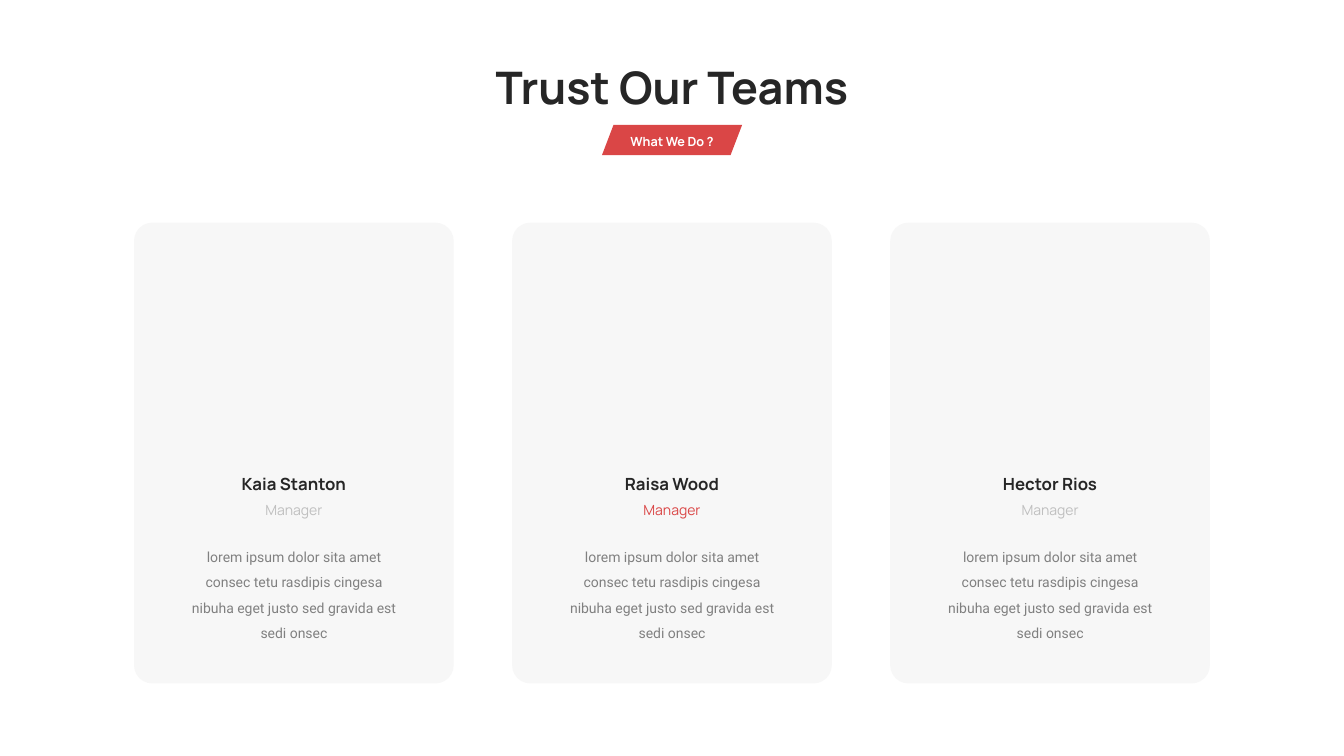
from dataclasses import dataclass

from lxml import etree
from pptx import Presentation
from pptx.dml.color import RGBColor
from pptx.enum import shapes, text
from pptx.oxml import ns
from pptx.util import Inches, Pt

WHITE = RGBColor(0xFF, 0xFF, 0xFF)
INK = RGBColor(0x26, 0x26, 0x26)
GRAY = RGBColor(0x80, 0x80, 0x80)
SILVER = RGBColor(0xBF, 0xBF, 0xBF)
CARD = RGBColor(0xF2, 0xF2, 0xF2)
RED = RGBColor(0xDA, 0x46, 0x46)

SLIDE_WIDTH = 13.33
CENTER = SLIDE_WIDTH / 2
CARD_LEFT, CARD_TOP, CARD_WIDTH, CARD_HEIGHT = 1.33, 2.21, 3.17, 4.57
CARD_PITCH = 3.75
BIO = ("lorem ipsum dolor sita amet consec tetu rasdipis cingesa "
       "nibuha eget justo sed gravida est sedi onsec")


@dataclass(frozen=True)
class Style:
    size: float
    color: RGBColor
    font: str = "Manrope"
    bold: bool = False
    wrap: bool = False
    line_spacing: float = 1.0


@dataclass(frozen=True)
class Member:
    name: str
    name_width: float
    role_color: RGBColor = SILVER


TITLE = Style(32, INK, bold=True, wrap=True)
TAG = Style(9, WHITE, bold=True)
NAME = Style(12, INK, bold=True)
BODY = Style(10, GRAY, font="Roboto", wrap=True, line_spacing=1.5)

TEAM = [
    Member("Kaia Stanton", 1.37),
    Member("Raisa Wood", 1.26, RED),
    Member("Hector Rios", 1.21),
]


def add_text(parent, wording: str, center: float, top: float,
             width: float, height: float, style: Style) -> None:
    """Add a text box centred horizontally on center."""
    box = parent.add_textbox(Inches(center - width / 2), Inches(top),
                             Inches(width), Inches(height))
    frame = box.text_frame
    frame.text = wording
    frame.word_wrap = style.wrap
    frame.auto_size = text.MSO_AUTO_SIZE.SHAPE_TO_FIT_TEXT
    para = frame.paragraphs[0]
    para.alignment = text.PP_ALIGN.CENTER
    para.line_spacing = style.line_spacing
    font = para.runs[0].font
    font.name = style.font
    font.size = Pt(style.size)
    font.bold = style.bold
    font.color.rgb = style.color


def add_panel(parent, kind: shapes.MSO_SHAPE, left: float, top: float, width: float,
              height: float, adjustment: float, color: RGBColor):
    """Add a flat filled shape without outline or shadow."""
    panel = parent.add_shape(kind, Inches(left), Inches(top),
                             Inches(width), Inches(height))
    panel.adjustments[0] = adjustment
    panel.shadow.inherit = False
    panel.fill.solid()
    panel.fill.fore_color.rgb = color
    panel.line.fill.background()
    return panel


def set_opacity(panel, percent: int) -> None:
    color = panel.fill._xPr.find(".//" + ns.qn("a:srgbClr"))
    etree.SubElement(color, ns.qn("a:alpha"), val=str(percent * 1000))


def add_header(page) -> None:
    add_text(page.shapes, "Trust Our Teams", CENTER, 0.54, 5.02, 0.64, TITLE)
    badge = page.shapes.add_group_shape().shapes
    add_panel(badge, shapes.MSO_SHAPE.PARALLELOGRAM, 5.97, 1.24, 1.39, 0.3, 0.382, RED)
    add_text(badge, "What We Do ?", CENTER, 1.28, 1.15, 0.25, TAG)


def add_member(page, member: Member, left: float) -> None:
    card = add_panel(page.shapes, shapes.MSO_SHAPE.ROUNDED_RECTANGLE, left, CARD_TOP,
                     CARD_WIDTH, CARD_HEIGHT, 0.057, CARD)
    set_opacity(card, 60)
    center = left + CARD_WIDTH / 2
    add_text(page.shapes, member.name, center, 4.65, member.name_width, 0.3, NAME)
    add_text(page.shapes, "Manager", center, 4.93, 0.83, 0.27,
             Style(10, member.role_color))
    add_text(page.shapes, BIO, center, 5.31, 2.22, 1.11, BODY)


def main() -> None:
    deck = Presentation()
    deck.slide_width = Inches(SLIDE_WIDTH)
    deck.slide_height = Inches(7.5)
    page = deck.slides.add_slide(deck.slide_layouts[6])
    add_header(page)
    for index, member in enumerate(TEAM):
        add_member(page, member, CARD_LEFT + index * CARD_PITCH)
    deck.save("out.pptx")


if __name__ == "__main__":
    main()
